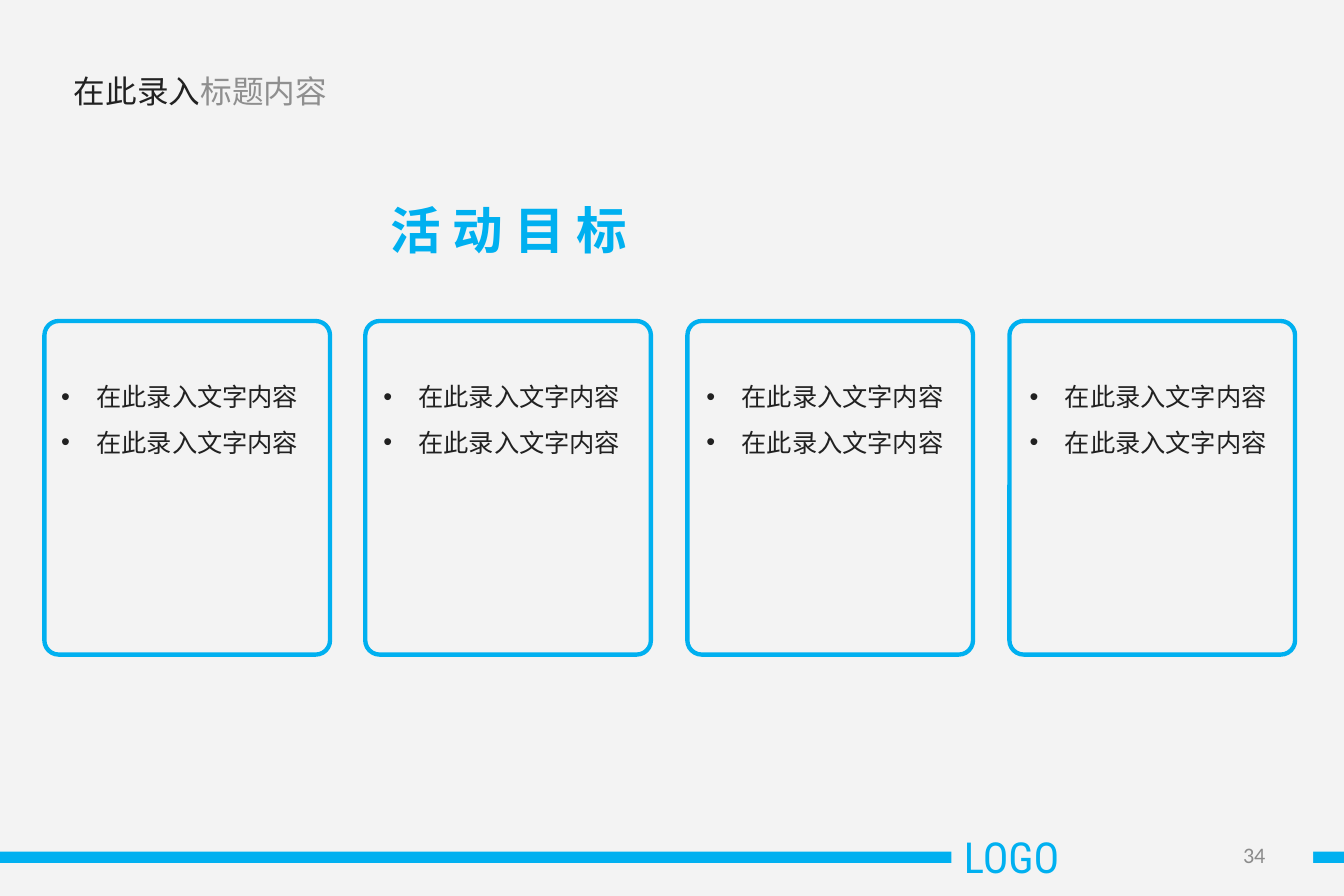
from lxml import etree
from pptx import Presentation
from pptx import util as u
from pptx.dml.color import RGBColor
from pptx.enum import shapes, text
from pptx.oxml import ns

SCALE = 9144
BLUE, DARK, GREY, PAPER = "00B0F0", "212121", "8F8F8F", "F3F3F3"
CJK = "Noto Sans CJK SC"


def px(n):
    """Turn px into EMU."""
    return u.Emu(n * SCALE)


def color(value):
    """Turn a hex string into a colour."""
    return RGBColor.from_string(value)


def add_box(s, x, y, w, h, kind="RECTANGLE", fill=None, line=None):
    """Add a preset shape with an optional fill and outline."""
    sp = s.shapes.add_shape(shapes.MSO_SHAPE[kind], px(x), px(y), px(w), px(h))
    sp.shadow.inherit = False
    if fill:
        sp.fill.solid()
        sp.fill.fore_color.rgb = color(fill)
    else:
        sp.fill.background()
    if line:
        sp.line.color.rgb = color(line)
        sp.line.width = u.Pt(2.75)
    else:
        sp.line.fill.background()
    return sp


def add_run(p, words, size=16, font=CJK, fill=DARK, bold=False):
    """Add a formatted run to a paragraph."""
    r = p.add_run()
    r.text = words
    r.font.size = u.Pt(size)
    r.font.name = font
    r.font.bold = bold
    r.font.color.rgb = color(fill)
    ea = etree.SubElement(r._r.get_or_add_rPr(), ns.qn("a:ea"))
    ea.set("typeface", CJK)


def add_text(s, x, y, w, h, anchor="TOP", inset=(10, 5)):
    """Add an empty wrapped text box and return its frame."""
    tf = s.shapes.add_textbox(px(x), px(y), px(w), px(h)).text_frame
    tf.word_wrap = True
    tf.vertical_anchor = text.MSO_ANCHOR[anchor]
    tf.margin_left = tf.margin_right = px(inset[0])
    tf.margin_top = tf.margin_bottom = px(inset[1])
    return tf


def add_bullet(p):
    """Give a paragraph a round bullet and a hanging indent."""
    pPr = p._p.get_or_add_pPr()
    pPr.set("marL", str(px(31)))
    pPr.set("indent", str(px(-31)))
    clr = etree.SubElement(pPr, ns.qn("a:buClr"))
    etree.SubElement(clr, ns.qn("a:srgbClr")).set("val", DARK)
    etree.SubElement(pPr, ns.qn("a:buFont")).set("typeface", "Arial")
    etree.SubElement(pPr, ns.qn("a:buChar")).set("char", "•")


def footer(s, x, y, w, h):
    """Draw the bottom bar with its label and page number."""
    add_box(s, x, y + 24, w, 10, fill=BLUE)
    add_box(s, x + 836, y, 318, h, fill=PAPER)
    tf = add_text(s, x + 836, y, 318, h, inset=(11, 6))
    add_run(tf.paragraphs[0], "LOGO", size=27, font="Roboto Condensed", fill=BLUE)
    tf = add_text(s, x + 847, y + 6, 276, 42, anchor="MIDDLE", inset=(11, 6))
    p = tf.paragraphs[0]
    p.alignment = text.PP_ALIGN.RIGHT
    add_run(p, "34", size=14, font="Calibri", fill="8B8B8B")


def header(s, x, y, w, h):
    """Write the two-tone slide title."""
    p = add_text(s, x, y, w, h, anchor="MIDDLE", inset=(11, 6)).paragraphs[0]
    add_run(p, "在此录入", size=20, font="Calibri")
    add_run(p, "标题内容", size=20, font="Calibri", fill=GREY)


def heading(s, x, y, w, h):
    """Write the blue section heading."""
    p = add_text(s, x, y, w, h).paragraphs[0]
    add_run(p, "活 动 目 标", size=32, fill=BLUE, bold=True)


def goal_cards(s, x, y, w, h, cards):
    """Lay out a row of outlined cards with bulleted lists."""
    card_w, list_w = 251, 236
    gaps = len(cards) - 1
    for i, lines in enumerate(cards):
        tf = add_text(s, x + 5 + i * (w - list_w - 12) // gaps, y + 35, list_w, 264)
        for j, words in enumerate(lines):
            p = tf.add_paragraph() if j else tf.paragraphs[0]
            p.line_spacing = 1.5
            add_bullet(p)
            add_run(p, words)
        sp = add_box(s, x + i * (w - card_w) // gaps, y, card_w, h,
                     kind="ROUNDED_RECTANGLE", line=BLUE)
        sp.adjustments[0] = 0.05


def main():
    """Build and save the slide."""
    prs = Presentation()
    prs.slide_width, prs.slide_height = px(1181), px(787)
    s = prs.slides.add_slide(prs.slide_layouts[6])
    s.background.fill.solid()
    s.background.fill.fore_color.rgb = color(PAPER)
    footer(s, 0, 724, 1181, 56)
    header(s, 54, 49, 1063, 62)
    heading(s, 333, 170, 463, 64)
    goal_cards(s, 39, 282, 1099, 293, [["在此录入文字内容"] * 2] * 4)
    prs.save("out.pptx")


if __name__ == "__main__":
    main()
